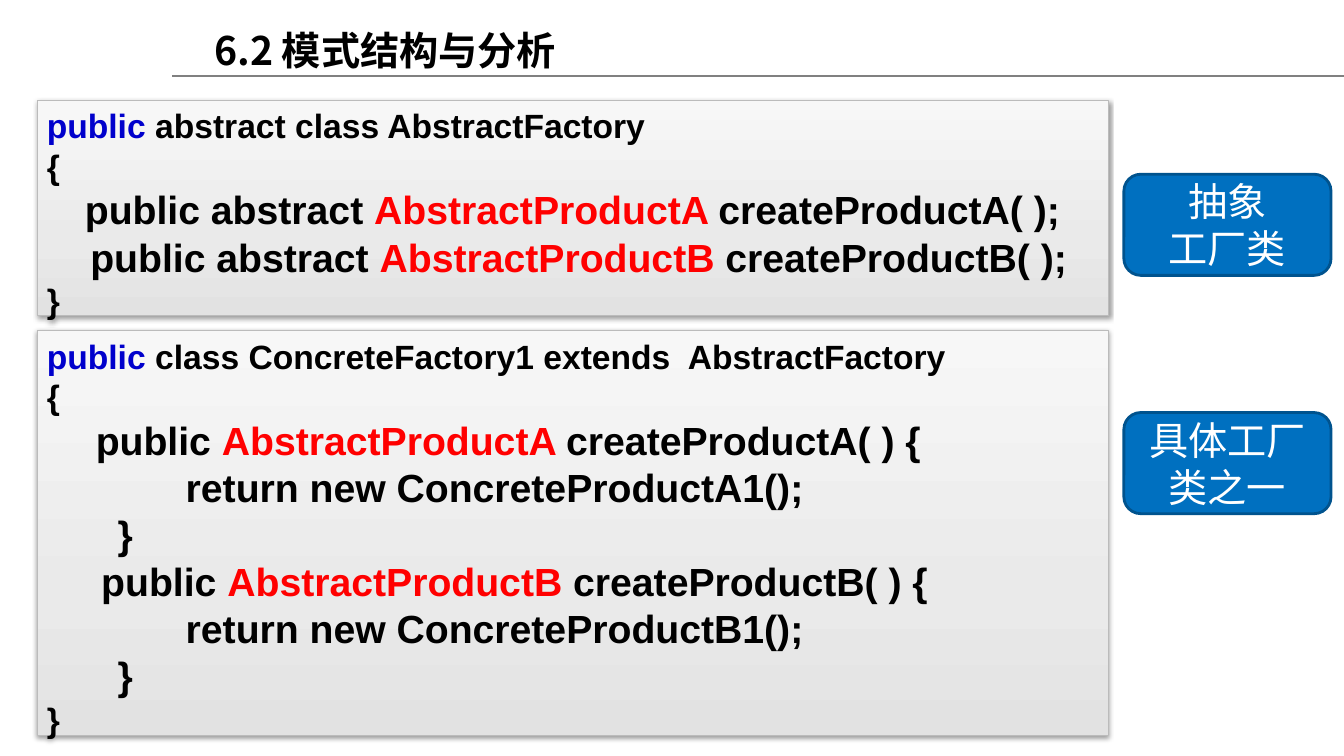
from copy import deepcopy
from lxml import etree
from pptx import Presentation
from pptx import util as u
from pptx.dml.color import RGBColor
from pptx.enum import shapes, text
from pptx.oxml.ns import qn

SCALE = 9080
CJK = "Noto Sans CJK SC"
GRADE = [(0, "E2E2E2"), (0.35, "EAEAEA"), (1, "F7F7F7")]


def px(n):
    return u.Emu(n * SCALE)


def hue(code):
    return RGBColor.from_string(code)


class Deck:
    """Holds the style and the current slide, and draws each kind of element."""

    title_font = {"name": CJK, "size": u.Pt(28), "bold": True}
    code_font = {"name": "Arial", "bold": True}
    label_font = {"name": "Calibri", "size": u.Pt(28)}
    indent = {"marL": px(38), "indent": px(-38), "defTabSz": u.Inches(1)}

    def __init__(self, wide, high):
        self.show = Presentation()
        self.show.slide_width, self.show.slide_height = px(wide), px(high)
        self.slide = self.show.slides.add_slide(self.show.slide_layouts[5])

    def style(self, font, form, color):
        for key, value in form.items():
            setattr(font, key, value)
        font.color.rgb = hue(color)

    def title(self, words, *area):
        head = self.slide.shapes.title
        for key, value in zip(("left", "top", "width", "height"), area):
            setattr(head, key, px(value))
        para = head.text_frame.paragraphs[0]
        para.alignment = text.PP_ALIGN.LEFT
        run = para.add_run()
        run.text = words
        self.style(run.font, self.title_font, "000000")
        east = etree.SubElement(run.font._element, qn("a:ea"))
        east.set("typeface", CJK)

    def rule(self, *ends):
        line = self.slide.shapes.add_connector(
            shapes.MSO_CONNECTOR.STRAIGHT, *map(px, ends))
        line.line.color.rgb = hue("808080")
        line.line.width = u.Pt(2)
        etree.SubElement(line.element.spPr, qn("a:effectLst"))

    def shape(self, kind, area, edge, weight):
        box = self.slide.shapes.add_shape(kind, *map(px, area))
        box.shadow.inherit = False
        box.line.color.rgb = hue(edge)
        box.line.width = u.Pt(weight)
        box.text_frame.word_wrap = True
        return box

    def shade(self, box):
        box.fill.gradient()
        box.fill.gradient_angle = 90
        props = box.element.spPr
        stops = props.find(".//" + qn("a:gsLst"))
        stops.insert(1, deepcopy(stops[0]))
        for stop, (place, color) in zip(box.fill.gradient_stops, GRADE):
            stop.position = place
            stop.color.rgb = hue(color)
        cast = etree.SubElement(props.find(qn("a:effectLst")), qn("a:outerShdw"),
                                blurRad=str(u.Pt(3.1)), dist=str(u.Pt(1.6)),
                                dir="5400000", rotWithShape="0")
        black = etree.SubElement(cast, qn("a:srgbClr"), val="000000")
        etree.SubElement(black, qn("a:alpha"), val="38000")

    def code(self, lines, *area):
        box = self.shape(shapes.MSO_SHAPE.RECTANGLE, area, "BBBBBB", 0.75)
        self.shade(box)
        frame = box.text_frame
        frame.vertical_anchor = text.MSO_ANCHOR.TOP
        for row, line in enumerate(lines):
            para = frame.add_paragraph() if row else frame.paragraphs[0]
            para.alignment = text.PP_ALIGN.LEFT
            props = para._p.get_or_add_pPr()
            for key, value in self.indent.items():
                props.set(key, str(value))
            size = u.Pt(28 if line[0].isspace() else 24)
            accent = "FF0000" if row else "0000CC"
            for part, words in enumerate(line.split("|")):
                if words:
                    run = para.add_run()
                    run.text = words
                    self.style(run.font, {**self.code_font, "size": size},
                               accent if part % 2 else "000000")

    def label(self, lines, *area):
        box = self.shape(shapes.MSO_SHAPE.ROUNDED_RECTANGLE, area, "00538E", 2)
        box.fill.solid()
        box.fill.fore_color.rgb = hue("0070C0")
        frame = box.text_frame
        frame.vertical_anchor = text.MSO_ANCHOR.MIDDLE
        frame.text = "\n".join(lines)
        for para in frame.paragraphs:
            para.alignment = text.PP_ALIGN.CENTER
            para.line_spacing = u.Pt(33.6)
            self.style(para.runs[0].font, self.label_font, "FFFFFF")


def main():
    deck = Deck(1343, 755)
    deck.rule(172, 76, 1343, 76)
    deck.title("6.2 模式结构与分析", 204, 21, 761, 57)
    deck.code([
        "|public| abstract class AbstractFactory",
        "{",
        "\tpublic abstract |AbstractProductA |createProductA( );",
        "    public abstract |AbstractProductB |createProductB( );",
        "}",
    ], 37, 100, 1071, 215)
    deck.code([
        "|public| class ConcreteFactory1 extends  AbstractFactory",
        "{",
        "\t public |AbstractProductA |createProductA( ) {",
        "\t\treturn new ConcreteProductA1();",
        "\t   }",
        "     public |AbstractProductB |createProductB( ) {",
        "\t\treturn new ConcreteProductB1();",
        "\t   }",
        "}",
    ], 37, 330, 1071, 405)
    deck.label(["抽象", "工厂类"], 1123, 174, 207, 101)
    deck.label(["具体工厂", "类之一"], 1123, 412, 207, 101)
    deck.show.save("out.pptx")


if __name__ == "__main__":
    main()
